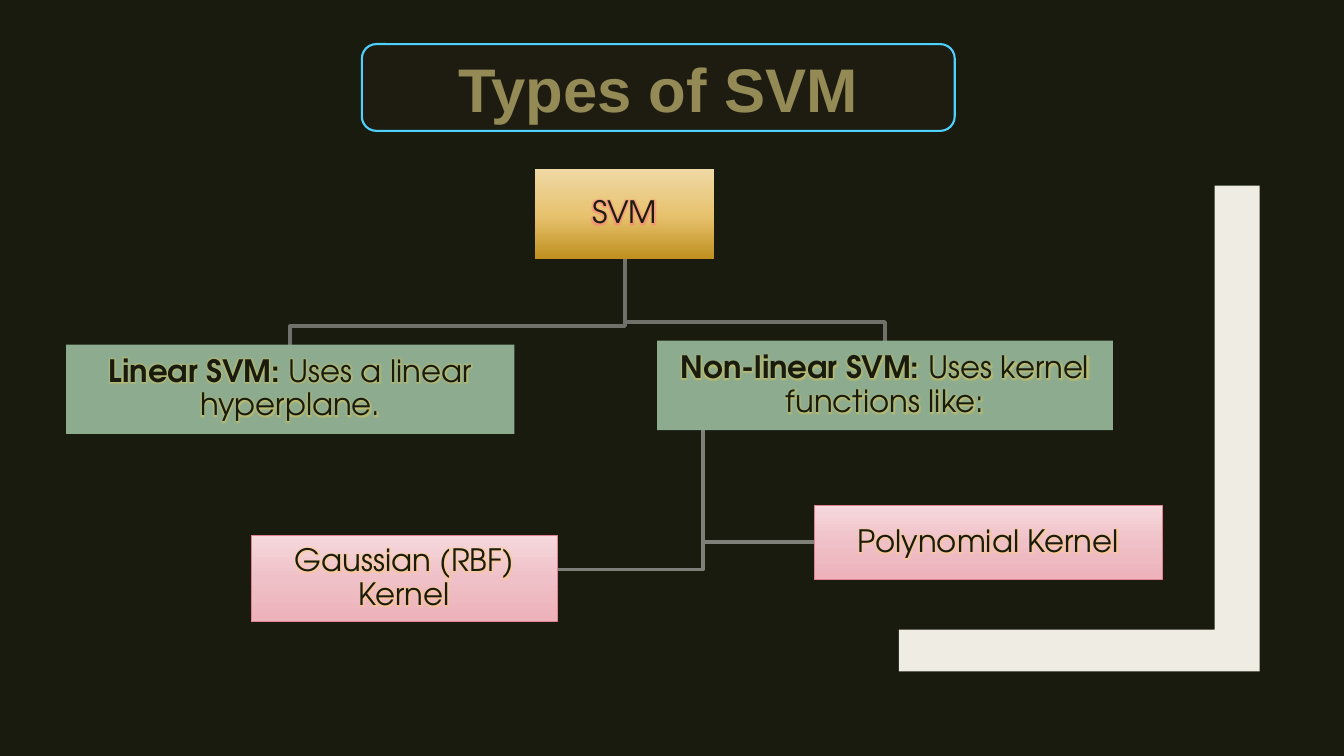
"""Build the "Types of SVM" tree slide."""
from lxml import etree
from pptx import Presentation
from pptx.dml.color import RGBColor
from pptx.enum.shapes import MSO_SHAPE
from pptx.enum.text import MSO_ANCHOR, PP_ALIGN
from pptx.oxml import parse_xml
from pptx.util import Pt

NS = "http://schemas.openxmlformats.org/drawingml/2006/main"
COLORS = {
    "background": "191B0E", "corner": "EFEDE3", "title_fill": "1E1C11",
    "title_line": "4FD1FF", "title": "948A55", "text": "191B0E",
    "type_line": "70716B", "kernel_line": "7F807A", "green": "8DAB8E",
    "pink_line": "E28394", "red_glow": "FF8080", "yellow_glow": "D8C860",
    "orange_glow": "FFCC80",
}
GOLD = [(0, "F0D9A5"), (52, "E7C26E"), (100, "C09020")]
PINK = [(0, "F6D9DD"), (50, "EFC0C7"), (100, "EEB2BB")]


def rgb(name):
    return RGBColor.from_string(COLORS[name])


def draw_path(points, close):
    points = [(Pt(x), Pt(y)) for x, y in points]
    builder = s.shapes.build_freeform(*points[0], scale=1.0)
    builder.add_line_segments(points[1:], close=close)
    sp = builder.convert_to_shape()
    sp.shadow.inherit = False
    return sp


prs = Presentation()
prs.slide_width, prs.slide_height = Pt(960), Pt(540)
s = prs.slides.add_slide(prs.slide_layouts[6])
s.background.fill.solid()
s.background.fill.fore_color.rgb = rgb("background")

corner = draw_path([(867.6, 132.6), (899.7, 132.6), (899.7, 479.6),
                    (642, 479.6), (642, 449.8), (867.6, 449.8)], True)
corner.fill.solid()
corner.fill.fore_color.rgb = rgb("corner")
corner.line.fill.background()

title = s.shapes.add_shape(MSO_SHAPE.ROUNDED_RECTANGLE, Pt(258.5), Pt(31.5), Pt(423.5), Pt(62))
title.shadow.inherit = False
title.fill.solid()
title.fill.fore_color.rgb = rgb("title_fill")
title.line.color.rgb = rgb("title_line")
title.line.width = Pt(1.5)
title.text_frame.vertical_anchor = MSO_ANCHOR.MIDDLE
p = title.text_frame.paragraphs[0]
p.text = "Types of SVM"
p.alignment = PP_ALIGN.CENTER
p.font.name, p.font.size, p.font.bold = "Arial", Pt(44), True
p.font.color.rgb = rgb("title")

branches = [
    ("kernel_line", [(502, 307.3), (502, 406.8), (398.4, 406.8)]),
    ("kernel_line", [(502, 307.3), (502, 387.4), (581.6, 387.4)]),
    ("type_line", [(446.4, 184.7), (446.4, 230), (632.1, 230), (632.1, 243.4)]),
    ("type_line", [(446.4, 184.7), (446.4, 232.8), (207.3, 232.8), (207.3, 246.2)]),
]
for color, points in branches:
    sp = draw_path(points, False)
    sp.fill.background()
    sp.line.color.rgb = rgb(color)
    sp.line.width = Pt(2.75)

boxes = [
    (382.2, 120.7, 127.8, 64, GOLD, None, "red_glow", "", "SVM"),
    (47.2, 246.2, 320.3, 63.8, None, None, "yellow_glow",
     "Linear SVM: ", "Uses a linear hyperplane."),
    (469.4, 243.4, 325.6, 63.9, None, None, "yellow_glow",
     "Non-linear SVM: ", "Uses kernel functions like:"),
    (581.6, 361, 248.6, 53, PINK, "pink_line", "orange_glow", "", "Polynomial Kernel"),
    (179.5, 382.5, 218.6, 61.5, PINK, "pink_line", "orange_glow", "", "Gaussian (RBF) Kernel"),
]
for x, y, w, h, gradient, line, glow, lead, body in boxes:
    sp = s.shapes.add_shape(MSO_SHAPE.RECTANGLE, Pt(x), Pt(y), Pt(w), Pt(h))
    sp.shadow.inherit = False
    if gradient:
        sp.fill.gradient()
        sp.fill.gradient_angle = 270
        stops = sp._element.spPr.find(f".//{{{NS}}}gsLst")
        for stop in list(stops):
            stops.remove(stop)
        for position, color in gradient:
            stop = etree.SubElement(stops, f"{{{NS}}}gs", pos=str(position * 1000))
            etree.SubElement(stop, f"{{{NS}}}srgbClr", val=color)
    else:
        sp.fill.solid()
        sp.fill.fore_color.rgb = rgb("green")
    if line:
        sp.line.color.rgb = rgb(line)
        sp.line.width = Pt(0.5)
    else:
        sp.line.fill.background()
    tf = sp.text_frame
    tf.word_wrap = True
    tf.vertical_anchor = MSO_ANCHOR.MIDDLE
    tf.margin_left = tf.margin_right = tf.margin_top = tf.margin_bottom = Pt(1.4)
    p = tf.paragraphs[0]
    p.alignment = PP_ALIGN.CENTER
    p.line_spacing = 0.9
    p.font.name, p.font.size = "TeX Gyre Adventor", Pt(22)
    p.font.color.rgb = rgb("text")
    for text, bold in ((lead, True), (body, False)):
        if text:
            r = p.add_run()
            r.text = text
            r.font.bold = bold
            r.font._element.append(parse_xml(
                f'<a:effectLst xmlns:a="{NS}"><a:glow rad="{Pt(5)}">'
                f'<a:srgbClr val="{COLORS[glow]}"><a:alpha val="60000"/></a:srgbClr>'
                '</a:glow></a:effectLst>'))

prs.save("out.pptx")
